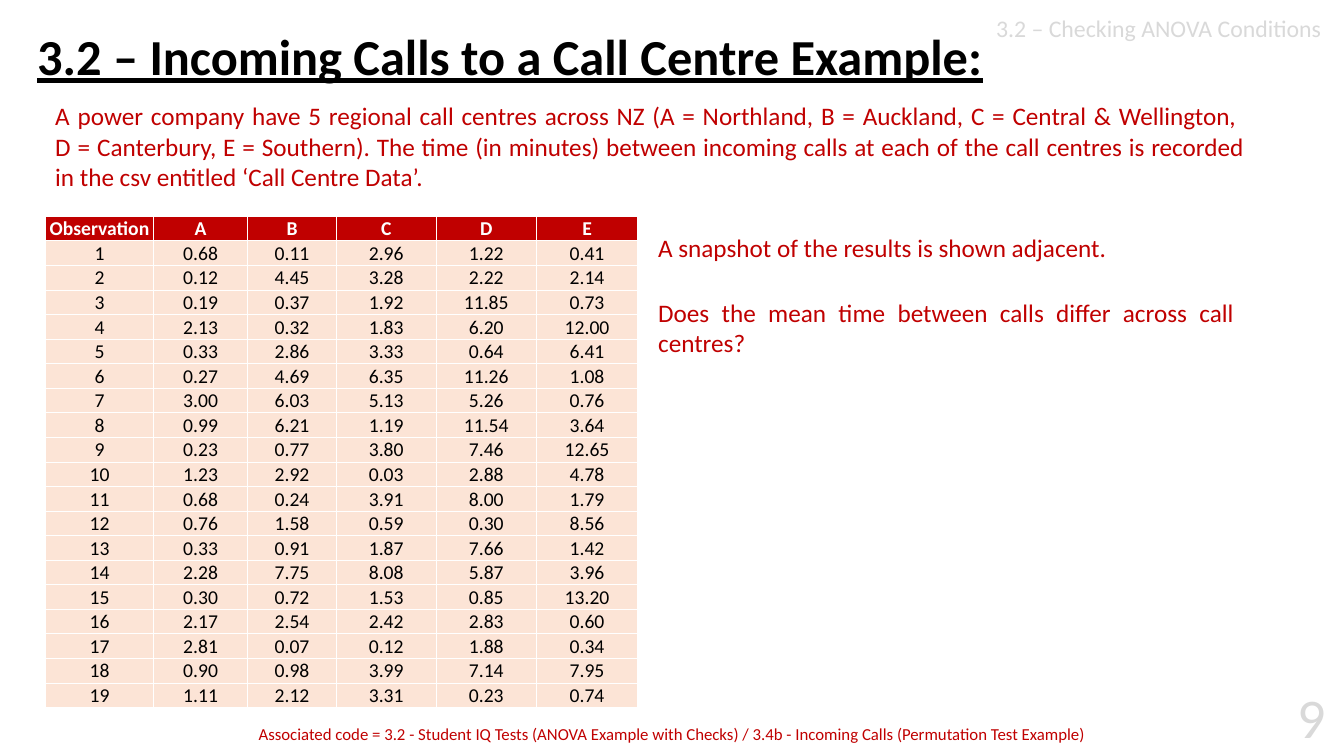
from lxml import etree
from pptx import Presentation
from pptx.dml.color import RGBColor
from pptx.enum.text import MSO_ANCHOR as ANCHOR, PP_ALIGN as ALIGN
from pptx.oxml.ns import qn
from pptx.util import Pt

# Content
TITLE = "3.2 – Incoming Calls to a Call Centre Example:"
HEADER = "3.2 – Checking ANOVA Conditions"
PAGE = "9"
INTRO = ("A power company have 5 regional call centres across NZ (A = Northland, "
         "B = Auckland, C = Central & Wellington, \n"
         "D = Canterbury, E = Southern). The time (in minutes) between incoming calls "
         "at each of the call centres is recorded in the csv entitled ‘Call Centre Data’.")
SNAPSHOT = "A snapshot of the results is shown adjacent."
QUESTION = "Does the mean time between calls differ across call centres?"
CODE = ("Associated code = 3.2 - Student IQ Tests (ANOVA Example with Checks) / "
        "3.4b - Incoming Calls (Permutation Test Example)")
COLUMNS = ["Observation", "A", "B", "C", "D", "E"]
CALL_TIMES = [
    (0.68, 0.11, 2.96, 1.22, 0.41),
    (0.12, 4.45, 3.28, 2.22, 2.14),
    (0.19, 0.37, 1.92, 11.85, 0.73),
    (2.13, 0.32, 1.83, 6.20, 12.00),
    (0.33, 2.86, 3.33, 0.64, 6.41),
    (0.27, 4.69, 6.35, 11.26, 1.08),
    (3.00, 6.03, 5.13, 5.26, 0.76),
    (0.99, 6.21, 1.19, 11.54, 3.64),
    (0.23, 0.77, 3.80, 7.46, 12.65),
    (1.23, 2.92, 0.03, 2.88, 4.78),
    (0.68, 0.24, 3.91, 8.00, 1.79),
    (0.76, 1.58, 0.59, 0.30, 8.56),
    (0.33, 0.91, 1.87, 7.66, 1.42),
    (2.28, 7.75, 8.08, 5.87, 3.96),
    (0.30, 0.72, 1.53, 0.85, 13.20),
    (2.17, 2.54, 2.42, 2.83, 0.60),
    (2.81, 0.07, 0.12, 1.88, 0.34),
    (0.90, 0.98, 3.99, 7.14, 7.95),
    (1.11, 2.12, 3.31, 0.23, 0.74),
]

# Style
FONT = "Calibri"
RED = RGBColor(0xC0, 0x00, 0x00)
PEACH = RGBColor(0xFC, 0xE4, 0xD6)
GREY = RGBColor(0xD9, 0xD9, 0xD9)
BLACK = RGBColor(0, 0, 0)
WHITE = RGBColor(0xFF, 0xFF, 0xFF)
COL_WIDTHS = [77.4, 67, 63.7, 70.9, 72, 72]
ROW_HEIGHT = 17.57

# Text boxes: text, (left, top, width, height), size, colour, alignment
TEXTS = [
    (HEADER, (660, 6, 291, 30), 17, GREY, ALIGN.RIGHT),
    (PAGE, (900, 484, 54, 60), 40, GREY, ALIGN.RIGHT),
    (INTRO, (32.4, 68.4, 864, 77), 18, RED, ALIGN.JUSTIFY),
    (SNAPSHOT, (463, 162.7, 425.5, 34.6), 18, RED, ALIGN.JUSTIFY),
    (QUESTION, (463, 208.8, 425.5, 48.2), 18, RED, ALIGN.JUSTIFY),
    (CODE, (150.5, 513.4, 659.5, 20.2), 12, RED, ALIGN.CENTER),
]


def write(tf, text, size, color, align, bold=False):
    p = tf.paragraphs[0]
    p.text = text
    p.alignment = align
    f = p.font
    f.name, f.size, f.bold = FONT, Pt(size), bold
    f.color.rgb = color
    return p


def add_borders(cell):
    tc_pr = cell._tc.get_or_add_tcPr()
    for i, side in enumerate(("lnL", "lnR", "lnT", "lnB")):
        ln = etree.Element(qn("a:" + side), w=str(Pt(0.5)))
        fill = etree.SubElement(ln, qn("a:solidFill"))
        etree.SubElement(fill, qn("a:srgbClr"), val=str(WHITE))
        tc_pr.insert(i, ln)


prs = Presentation()
prs.slide_width, prs.slide_height = Pt(960), Pt(540)
s = prs.slides.add_slide(prs.slide_layouts[5])

# Title
title = s.shapes.title
title.left, title.top, title.width, title.height = Pt(19.4), Pt(18.7), Pt(725), Pt(47.5)
title.text_frame.vertical_anchor = ANCHOR.MIDDLE
p = write(title.text_frame, TITLE, 36, BLACK, ALIGN.LEFT, bold=True)
p.font.underline = True
p.line_spacing = 0.9

# Header, page number, body text and footer
for text, box, size, color, align in TEXTS:
    tf = s.shapes.add_textbox(*map(Pt, box)).text_frame
    tf.word_wrap = True
    write(tf, text, size, color, align)

# Table of call times
rows = [COLUMNS] + [[str(n)] + [f"{t:.2f}" for t in times]
                    for n, times in enumerate(CALL_TIMES, 1)]
table = s.shapes.add_table(len(rows), len(COLUMNS), Pt(32.4), Pt(154.4),
                           Pt(sum(COL_WIDTHS)), Pt(ROW_HEIGHT * len(rows))).table
for column, width in zip(table.columns, COL_WIDTHS):
    column.width = Pt(width)
for r, values in enumerate(rows):
    table.rows[r].height = Pt(ROW_HEIGHT)
    is_head = r == 0
    for c, value in enumerate(values):
        cell = table.cell(r, c)
        cell.margin_left = cell.margin_right = cell.margin_top = Pt(0.72)
        cell.margin_bottom = 0
        cell.vertical_anchor = ANCHOR.MIDDLE
        cell.fill.solid()
        cell.fill.fore_color.rgb = RED if is_head else PEACH
        write(cell.text_frame, value, 14, WHITE if is_head else BLACK, ALIGN.CENTER, is_head)
        add_borders(cell)

prs.save("out.pptx")
